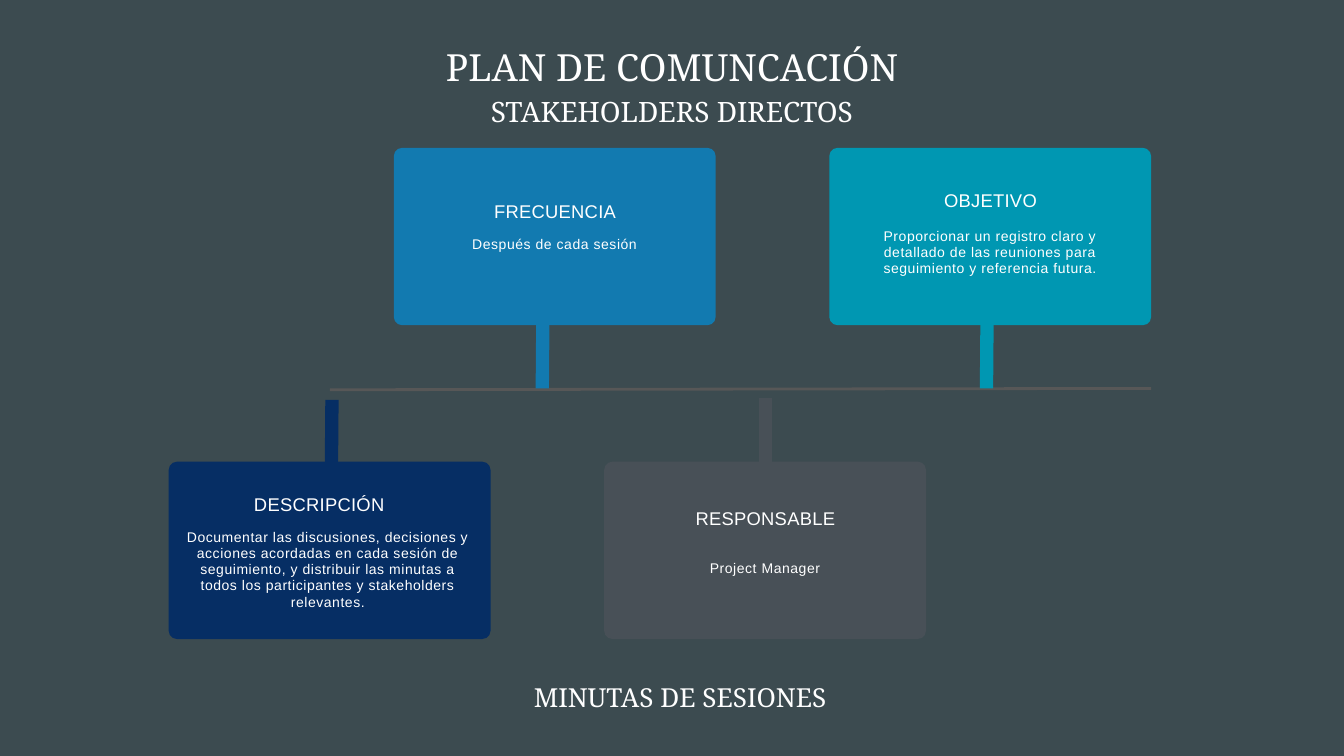
from dataclasses import dataclass

from pptx import Presentation
from pptx.dml.color import RGBColor
from pptx.enum.shapes import MSO_CONNECTOR, MSO_SHAPE
from pptx.enum.text import MSO_ANCHOR, MSO_AUTO_SIZE, PP_ALIGN
from pptx.oxml.ns import qn
from pptx.util import Inches, Pt
from lxml.etree import SubElement

COLORS = {
    "background": "3C4B50",
    "text": "FFFFFF",
    "axis": "575757",
    "navy": "062E64",
    "blue": "127AB0",
    "gray": "485057",
    "teal": "0097B2",
}
CARD_W, CARD_H, CORNER = 4.79, 2.64, 0.125
UPPER_TOP, LOWER_TOP = 2.2, 6.87


@dataclass
class Style:
    font: str
    size: float
    leading: float
    spacing: float = 0


@dataclass
class Box:
    left: float
    top: float
    width: float
    height: float


@dataclass
class Stem:
    x1: float
    y1: float
    x2: float
    y2: float


@dataclass
class Card:
    left: float
    top: float
    color: str
    stem: Stem
    heading: str
    heading_box: Box
    body: str
    body_box: Box
    heading_align: PP_ALIGN = PP_ALIGN.CENTER


TITLE = Style("Noto Serif", 40, 56)
SUBTITLE = Style("Noto Serif", 30, 42)
FOOTER = Style("Noto Serif", 28, 39.2)
HEADING = Style("Arial", 19.7, 22.3, 0.3)
BODY = Style("Arial", 15, 17.2, 0.6)

CARDS = [
    Card(2.51, LOWER_TOP, "navy", Stem(4.94, 5.95, 4.93, 7.21),
         "DESCRIPCIÓN", Box(3.78, 7.36, 2.26, 0.31),
         "Documentar las discusiones, decisiones y acciones acordadas en cada "
         "sesión de seguimiento, y distribuir las minutas a todos los "
         "participantes y stakeholders relevantes.",
         Box(2.68, 7.88, 4.4, 1.39), PP_ALIGN.LEFT),
    Card(5.86, UPPER_TOP, "blue", Stem(8.07, 5.78, 8.08, 4.52),
         "FRECUENCIA", Box(7.13, 2.99, 2.26, 0.31),
         "Después de cada sesión", Box(6.19, 3.52, 4.13, 0.24)),
    Card(8.99, LOWER_TOP, "gray", Stem(11.39, 5.93, 11.39, 7.19),
         "RESPONSABLE", Box(10.12, 7.57, 2.54, 0.31),
         "Project Manager", Box(9.32, 8.33, 4.13, 0.24)),
    Card(12.34, UPPER_TOP, "teal", Stem(14.68, 5.78, 14.69, 4.52),
         "OBJETIVO", Box(13.86, 2.83, 1.76, 0.31),
         "Proporcionar un registro claro y detallado de las reuniones para "
         "seguimiento y referencia futura.", Box(12.67, 3.4, 4.13, 0.7)),
]


def rgb(name: str) -> RGBColor:
    return RGBColor.from_string(COLORS[name])


def emu(box: Box) -> list[int]:
    return [Inches(v) for v in (box.left, box.top, box.width, box.height)]


def prepare_frame(tf) -> None:
    """Remove the margins, wrap the text and start it at the top."""
    tf.margin_left = tf.margin_right = tf.margin_top = tf.margin_bottom = 0
    tf.word_wrap = True
    tf.vertical_anchor = MSO_ANCHOR.TOP
    tf.auto_size = MSO_AUTO_SIZE.SHAPE_TO_FIT_TEXT


def write(p, text: str, style: Style, align: PP_ALIGN = PP_ALIGN.CENTER) -> None:
    p.alignment = align
    p.line_spacing = Pt(style.leading)
    p.space_before = Pt(0)
    r = p.add_run()
    r.text = text
    r.font.name = style.font
    r.font.size = Pt(style.size)
    r.font.color.rgb = rgb("text")
    if style.spacing:
        r._r.get_or_add_rPr().set("spc", str(round(style.spacing * 100)))


def add_text(s, box: Box, text: str, style: Style,
             align: PP_ALIGN = PP_ALIGN.CENTER) -> None:
    tf = s.shapes.add_textbox(*emu(box)).text_frame
    prepare_frame(tf)
    write(tf.paragraphs[0], text, style, align)


def add_title(s) -> None:
    title = s.shapes.title
    title.left, title.top, title.width, title.height = emu(
        Box(4.93, 0.55, 10.14, 1.34))
    tf = title.text_frame
    prepare_frame(tf)
    write(tf.paragraphs[0], "PLAN DE COMUNCACIÓN", TITLE)
    write(tf.add_paragraph(), "STAKEHOLDERS DIRECTOS", SUBTITLE)


def add_line(s, stem: Stem, color: str, width: float) -> None:
    ends = [Inches(v) for v in (stem.x1, stem.y1, stem.x2, stem.y2)]
    line = s.shapes.add_connector(MSO_CONNECTOR.STRAIGHT, *ends)
    line.line.color.rgb = rgb(color)
    line.line.width = Pt(width)
    SubElement(line._element.spPr, qn("a:effectLst"))


def add_card(s, card: Card) -> None:
    sp = s.shapes.add_shape(MSO_SHAPE.ROUNDED_RECTANGLE,
                            *emu(Box(card.left, card.top, CARD_W, CARD_H)))
    sp.adjustments[0] = CORNER / CARD_H
    sp.shadow.inherit = False
    sp.fill.solid()
    sp.fill.fore_color.rgb = rgb(card.color)
    sp.line.fill.background()
    add_text(s, card.heading_box, card.heading, HEADING, card.heading_align)
    add_text(s, card.body_box, card.body, BODY)


def main() -> None:
    prs = Presentation()
    prs.slide_width, prs.slide_height = Inches(20), Inches(11.25)
    s = prs.slides.add_slide(prs.slide_layouts[5])
    s.background.fill.solid()
    s.background.fill.fore_color.rgb = rgb("background")

    add_title(s)
    add_line(s, Stem(4.91, 5.8, 17.13, 5.78), "axis", 3)
    for card in CARDS:
        add_line(s, card.stem, card.color, 14.25)
    for card in CARDS:
        add_card(s, card)
    add_text(s, Box(5.05, 10.06, 10.14, 0.53), "MINUTAS DE SESIONES", FOOTER)

    prs.save("out.pptx")


if __name__ == "__main__":
    main()
